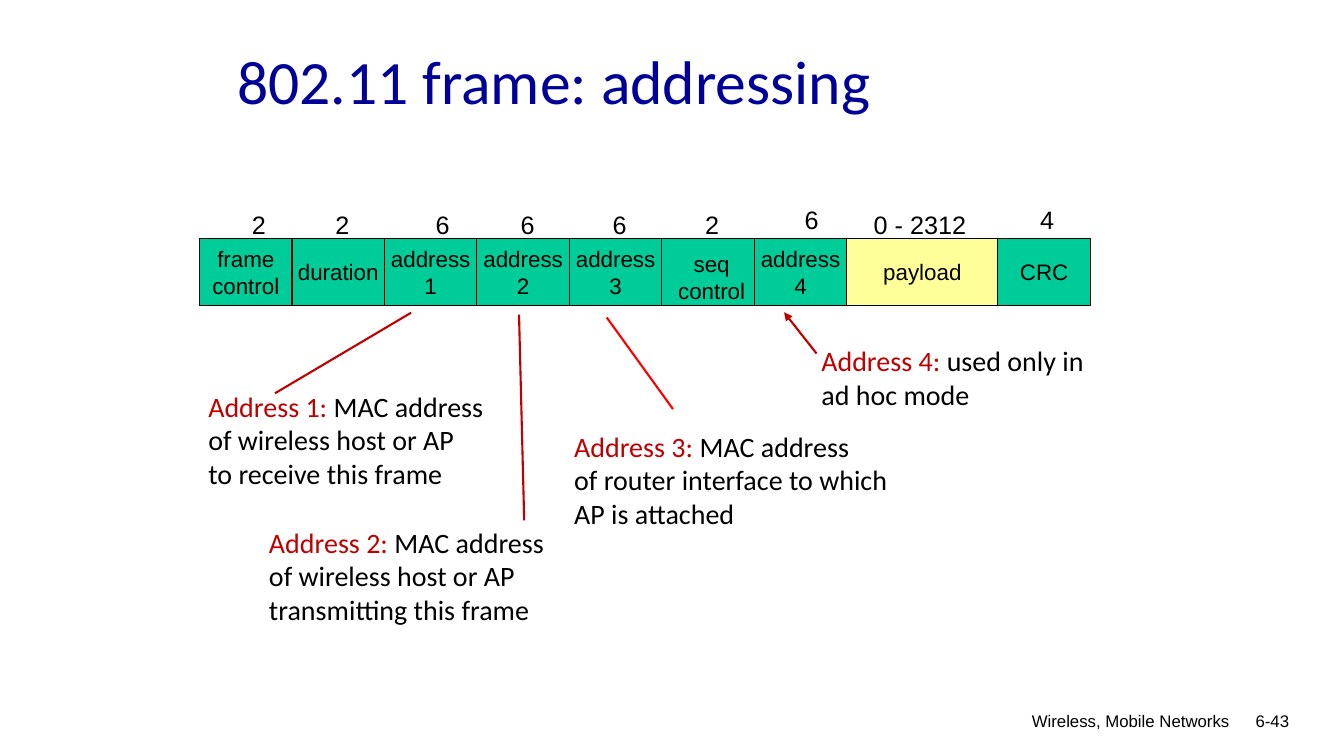
from pptx import Presentation
from pptx.dml.color import RGBColor
from pptx.enum.shapes import MSO_CONNECTOR as Connector, MSO_SHAPE as Shape
from pptx.enum.text import MSO_ANCHOR as Anchor, MSO_AUTO_SIZE as AutoSize, PP_ALIGN as Align
from pptx.oxml.ns import qn
from pptx.util import Cm, Pt
from lxml.etree import SubElement

BLACK, GREEN, YELLOW = "000000", "00CC99", "FFFF99"
RED, BRIGHT_RED, NAVY = "C00000", "FF0000", "000099"
CELL_WIDTH, PAYLOAD_WIDTH = 2.33, 3.81

FIELDS = [
    ("frame\ncontrol", "2", 1.07, 0.84),
    ("duration", "2", 0.84, 0.84),
    ("address\n1", "6", 1.04, 0.84),
    ("address\n2", "6", 0.85, 0.84),
    ("address\n3", "6", 0.84, 0.84),
    ("seq\ncontrol", "2", 0.84, 0.84),
    ("address\n4", "6", 1.02, 0.97),
    ("payload", "0 - 2312", 0.43, 0.84),
    ("CRC", "4", 0.81, 0.97),
]


def color(value):
    return RGBColor.from_string(value)


def write(frame, text, size=16, font="Arial", ink=BLACK, align=Align.LEFT,
          anchor=Anchor.TOP, wrap=False, lead="", fit=AutoSize.NONE):
    frame.word_wrap = wrap
    frame.auto_size = fit
    frame.vertical_anchor = anchor
    for index, line in enumerate(text.split("\n")):
        para = frame.add_paragraph() if index else frame.paragraphs[0]
        para.alignment = align
        pieces = [(line, ink)]
        if lead and index == 0:
            pieces.insert(0, (lead, RED))
        for piece, shade in pieces:
            span = para.add_run()
            span.text = piece
            span.font.name = font
            span.font.size = Pt(size)
            span.font.color.rgb = color(shade)


def add_text(page, box, text, **style):
    label = page.shapes.add_textbox(*map(Cm, box))
    write(label.text_frame, text, **style)


def add_line(page, start, end, ink, arrow=False):
    line = page.shapes.add_connector(Connector.STRAIGHT, *map(Cm, start + end))
    line.line.color.rgb = color(ink)
    line.line.width = Pt(1.5)
    if arrow:
        SubElement(line.line._get_or_add_ln(), qn("a:tailEnd"), type="triangle")
    SubElement(line._element.spPr, qn("a:effectLst"))


def add_title(page, box, text):
    title = page.shapes.title
    title.left, title.top, title.width, title.height = map(Cm, box)
    write(title.text_frame, text, size=44, font="Calibri", ink=NAVY,
          anchor=Anchor.MIDDLE, wrap=True)


def add_frame_format(page, box):
    left, top, height = box
    for name, count, indent, rise in FIELDS:
        is_payload = name == "payload"
        width = PAYLOAD_WIDTH if is_payload else CELL_WIDTH
        cell = page.shapes.add_shape(Shape.RECTANGLE, *map(Cm, (left, top, width, height)))
        cell.shadow.inherit = False
        cell.fill.solid()
        cell.fill.fore_color.rgb = color(YELLOW if is_payload else GREEN)
        cell.line.color.rgb = color(BLACK)
        cell.line.width = Pt(0.75)
        if name.startswith("seq"):
            add_text(page, (left + 0.15, top + 0.18, 2.21, 1.63), name,
                     align=Align.CENTER, fit=AutoSize.SHAPE_TO_FIT_TEXT)
        else:
            write(cell.text_frame, name, align=Align.CENTER, anchor=Anchor.MIDDLE)
        count_width = 2.84 if is_payload else 0.86
        add_text(page, (left + indent, top - rise, count_width, 1.02), count,
                 size=18, fit=AutoSize.SHAPE_TO_FIT_TEXT)
        left += width


def add_note(page, box, lead, text, start, end, ink=RED, wrap=False, arrow=False):
    left, top = box[:2]
    add_text(page, box, text, lead=lead, size=20, font="Calibri", wrap=wrap,
             fit=AutoSize.SHAPE_TO_FIT_TEXT)
    add_line(page, (left + start[0], top + start[1]),
             (left + end[0], top + end[1]), ink, arrow)


def add_footer(page, box):
    left, top, width, height = box
    number_width = 2.51
    add_text(page, (left, top, width - 1.5, height), "Wireless, Mobile Networks",
             size=12, align=Align.RIGHT, wrap=True)
    add_text(page, (left + width - number_width, top, number_width, height), "6-43",
             size=12, align=Align.RIGHT, wrap=True)


def main():
    deck = Presentation()
    deck.slide_width, deck.slide_height = Cm(33.87), Cm(19.05)
    page = deck.slides.add_slide(deck.slide_layouts[5])
    add_title(page, (5.72, 0.43, 17.81, 3.18), "802.11 frame: addressing")
    add_frame_format(page, (5.03, 6, 1.7))
    add_note(page, (5, 9.68, 7.59, 2.82), "Address 1: ",
             "MAC address\nof wireless host or AP\nto receive this frame",
             (1.93, 0.23), (5.36, -1.8))
    add_note(page, (6.53, 13.11, 7.59, 2.82), "Address 2: ",
             "MAC address\nof wireless host or AP\ntransmitting this frame",
             (6.68, 0), (6.55, -5.18))
    add_note(page, (14.22, 10.69, 8.48, 2.82), "Address 3: ",
             "MAC address\nof router interface to which AP is attached",
             (2.74, -0.38), (1.07, -2.69), ink=BRIGHT_RED, wrap=True)
    add_note(page, (20.45, 8.53, 7.24, 1.96), "Address 4: ", "used only in ad hoc mode",
             (0.13, 0.38), (-0.69, -0.66), wrap=True, arrow=True)
    add_footer(page, (16.94, 17.78, 15.8, 0.89))
    deck.save("out.pptx")


if __name__ == "__main__":
    main()
